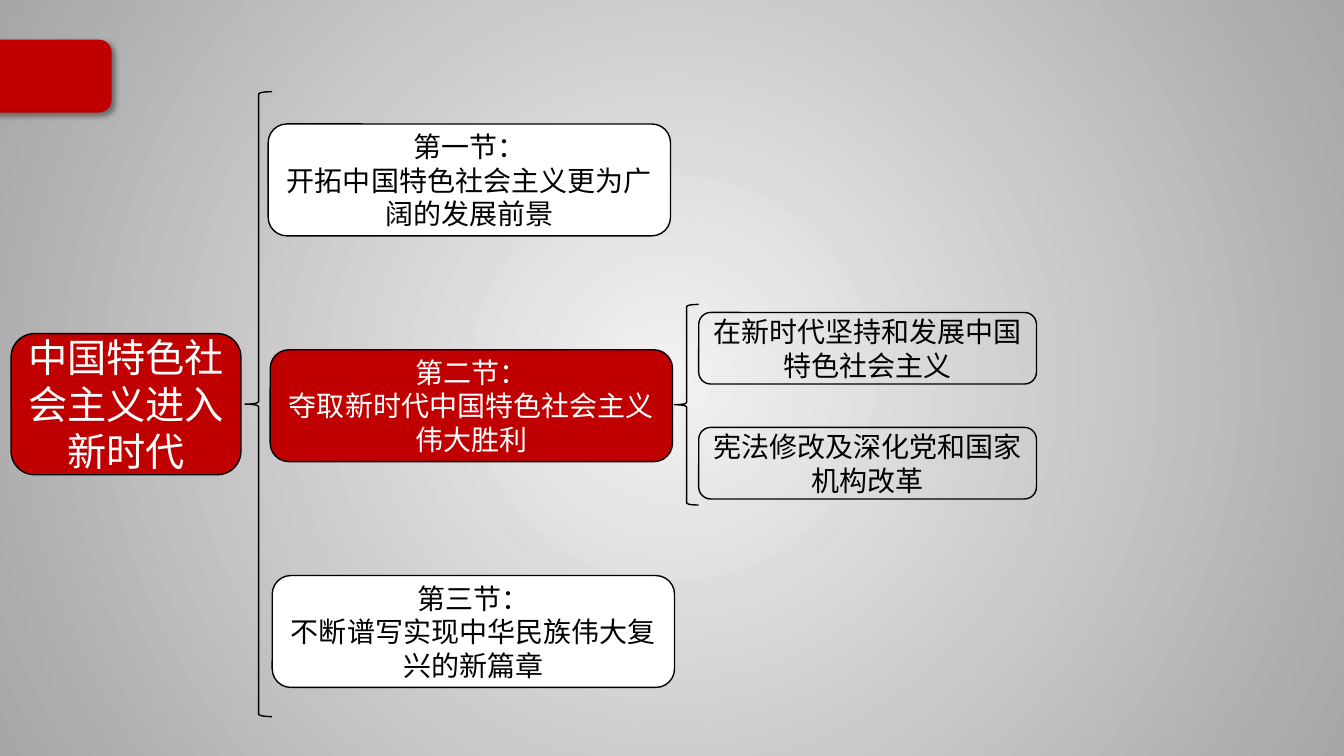
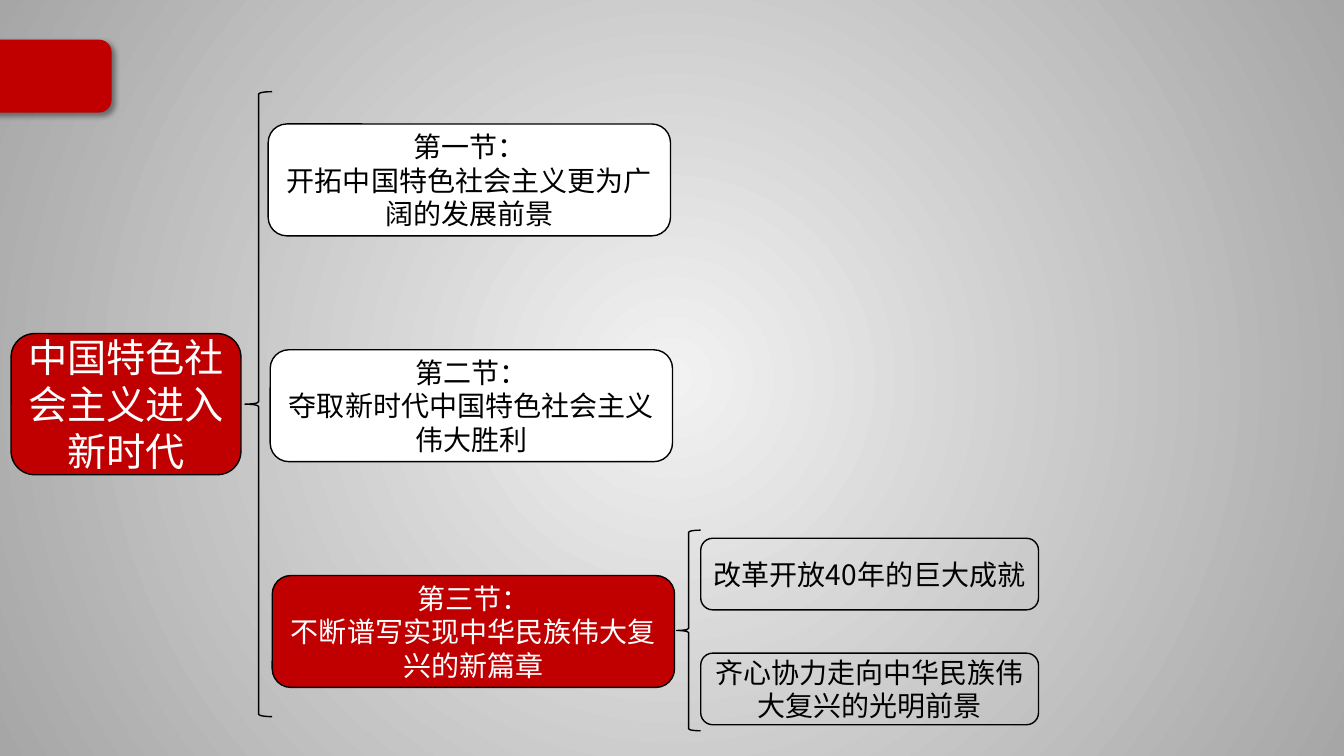
from lxml import etree
from pptx import Presentation
from pptx.dml.color import RGBColor
from pptx.enum.shapes import MSO_SHAPE as Shape
from pptx.enum.text import MSO_ANCHOR as Anchor, PP_ALIGN as Align
from pptx.oxml import parse_xml
from pptx.oxml.ns import nsdecls, qn
from pptx.util import Inches, Pt

RED, WHITE, BLACK = "C00000", "FFFFFF", "000000"
FONT = "Noto Sans CJK SC"
ROOT = "中国特色社会主义进入新时代"
SECTIONS = [
    ["第一节：", "开拓中国特色社会主义更为广阔的发展前景"],
    ["第二节：", "夺取新时代中国特色社会主义伟大胜利"],
    ["第三节：", "不断谱写实现中华民族伟大复兴的新篇章"],
]
SLIDES = [
    (1, ["在新时代坚持和发展中国特色社会主义", "宪法修改及深化党和国家机构改革"]),
    (2, ["改革开放40年的巨大成就", "齐心协力走向中华民族伟大复兴的光明前景"]),
]
SECTION_WIDTH, SECTION_HEIGHT, SECTION_STEP = 3.99, 1.11, 2.24
BRACE_WIDTH = 0.24


def color(value):
    return RGBColor.from_string(value)


def add_outlined(slide, kind, box, fill=None, line=BLACK, lines=(), size=20, ink=BLACK):
    shape = slide.shapes.add_shape(kind, *[Inches(length) for length in box])
    shape.shadow.inherit = False
    if fill:
        shape.fill.solid()
        shape.fill.fore_color.rgb = color(fill)
    else:
        shape.fill.background()
    shape.line.color.rgb = color(line)
    shape.line.width = Pt(1)
    frame = shape.text_frame
    frame.word_wrap = True
    frame.vertical_anchor = Anchor.MIDDLE
    frame.margin_left = frame.margin_right = Inches(0.09)
    for index, text in enumerate(lines):
        paragraph = frame.add_paragraph() if index else frame.paragraphs[0]
        paragraph.alignment = Align.CENTER
        run = paragraph.add_run()
        run.text = text
        run.font.size = Pt(size)
        run.font.name = FONT
        run.font.color.rgb = color(ink)
        latin = run.font.element.find(qn("a:latin")) if hasattr(run.font, "element") else run._r.rPr.find(qn("a:latin"))
        east_asian = etree.Element(qn("a:ea"), typeface=FONT)
        latin.addnext(east_asian)
    return shape


presentation = Presentation()
presentation.slide_width = Inches(13.33)
presentation.slide_height = Inches(7.5)
master = presentation.slide_master
blank_layout = presentation.slide_layouts[6]

background = master.background.fill
background.gradient()
for stop, shade in zip(background.gradient_stops, ["F2F2F2", "A6A6A6"]):
    stop.color.rgb = color(shade)
gradient = master.element.find(".//" + qn("p:bg")).find(".//" + qn("a:gradFill"))
gradient.replace(
    gradient.find(qn("a:lin")),
    parse_xml(
        f'<a:path {nsdecls("a")} path="circle">'
        '<a:fillToRect l="50000" t="50000" r="50000" b="50000"/></a:path>'
    ),
)

slides = [presentation.slides.add_slide(blank_layout) for _ in SLIDES]

band = add_outlined(slides[0], Shape.ROUNDED_RECTANGLE, (-0.18, 0.4, 1.28, 0.71), RED, RED)
band.element.spPr.find(qn("a:effectLst")).append(
    parse_xml(
        f'<a:outerShdw {nsdecls("a")} blurRad="{Pt(4)}" dist="{Pt(3)}" dir="2700000" algn="tl">'
        f'<a:srgbClr val="{BLACK}"><a:alpha val="40000"/></a:srgbClr></a:outerShdw>'
    )
)
band.element.find(".//" + qn("p:cNvPr")).set("id", "20")
master.shapes.element.append(band.element)

for slide, (active, topics) in zip(slides, SLIDES):
    add_outlined(slide, Shape.ROUNDED_RECTANGLE, (0.11, 3.31, 2.28, 1.4), RED,
                 lines=[ROOT], size=28, ink=WHITE)
    add_outlined(slide, Shape.LEFT_BRACE, (2.43, 0.91, 0.27, 6.2))

    for index, lines in enumerate(SECTIONS):
        left, top = 2.66 + 0.02 * index, 1.23 + SECTION_STEP * index
        fill, ink = (RED, WHITE) if index == active else (WHITE, BLACK)
        add_outlined(slide, Shape.ROUNDED_RECTANGLE,
                     (left, top, SECTION_WIDTH, SECTION_HEIGHT), fill, lines=lines, ink=ink)

    brace_left = 2.66 + 0.02 * active + SECTION_WIDTH + 0.02
    brace_top = 1.23 + SECTION_STEP * active - 0.45
    add_outlined(slide, Shape.LEFT_BRACE, (brace_left, brace_top, BRACE_WIDTH, 1.99))
    for index, topic in enumerate(topics):
        add_outlined(slide, Shape.ROUNDED_RECTANGLE,
                     (brace_left + BRACE_WIDTH, brace_top + 0.08 + 1.14 * index, 3.35, 0.71),
                     lines=[topic])

presentation.save("out.pptx")
